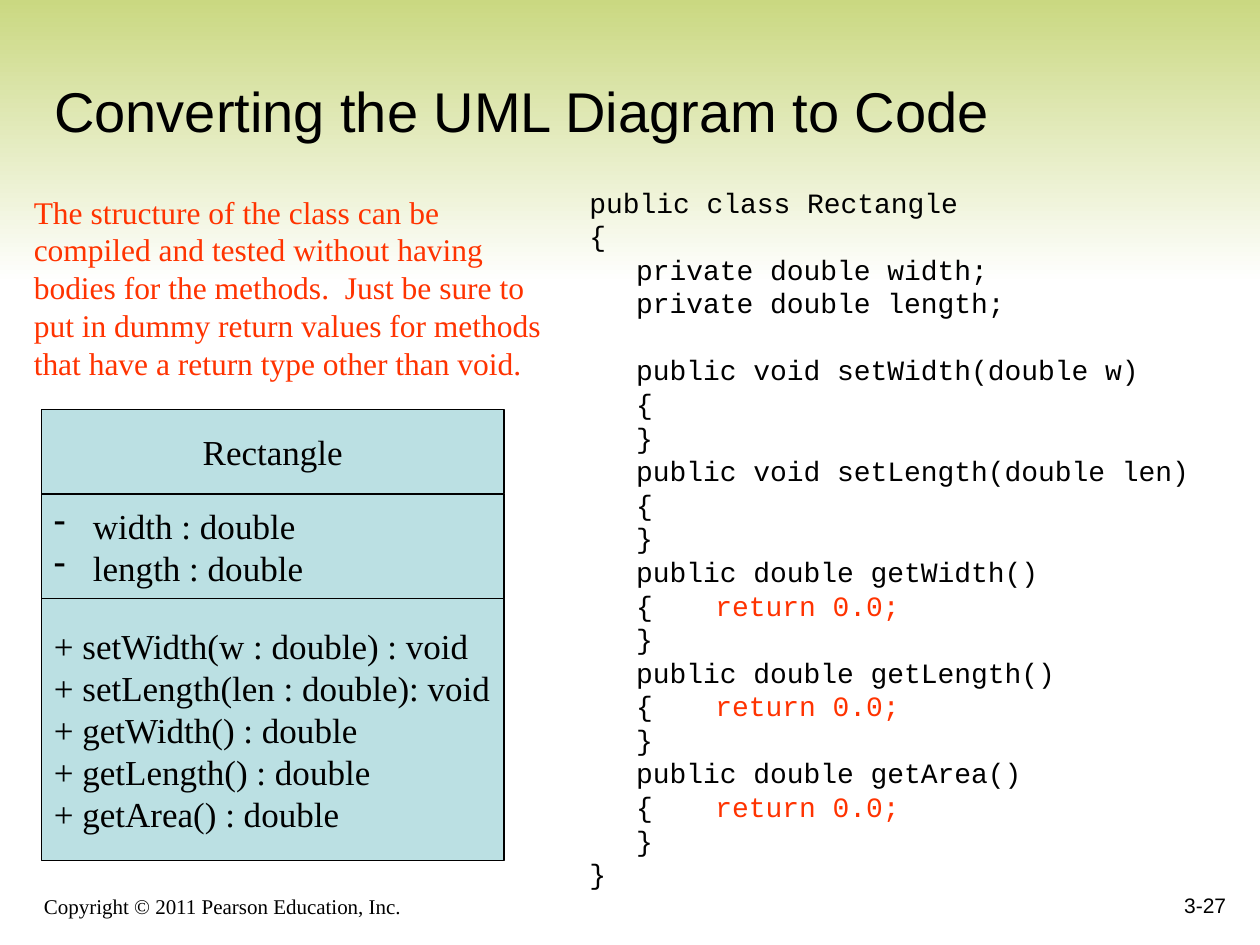
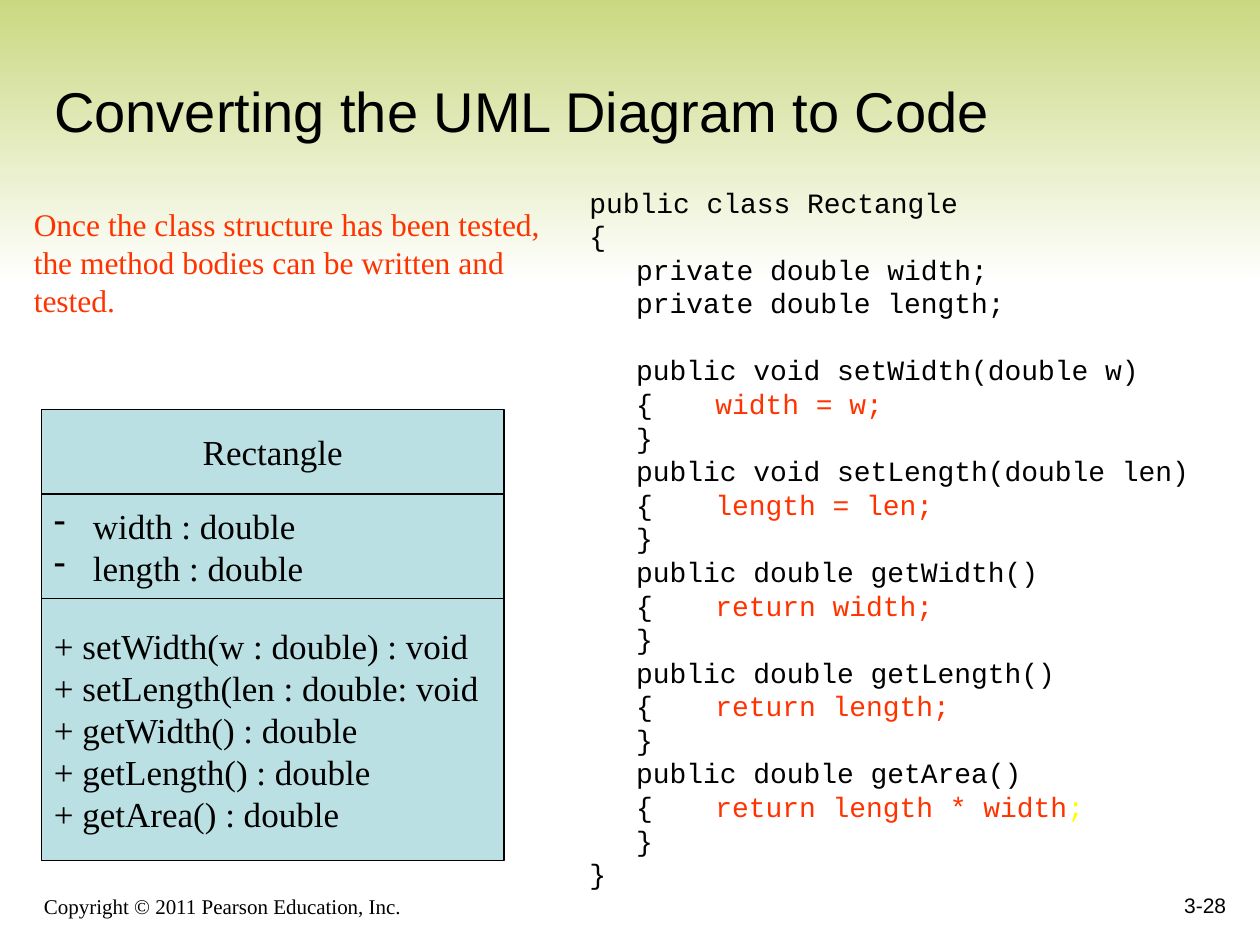
from lxml import etree
from pptx import Presentation
from pptx import util as u
from pptx.dml import color
from pptx.enum import shapes, text
from pptx.oxml import ns

BLACK, RED, YELLOW = "000000", "FF3300", "FFFF00"
BAND, WHITE, UML_FILL = "CAD881", "FFFFFF", "BBE0E3"
SERIF, SANS, MONO = "Times New Roman", "Arial", "Courier New"
LEFT, CENTER, RIGHT = text.PP_ALIGN.LEFT, text.PP_ALIGN.CENTER, text.PP_ALIGN.RIGHT
TOP, MIDDLE, BOTTOM = text.MSO_ANCHOR.TOP, text.MSO_ANCHOR.MIDDLE, text.MSO_ANCHOR.BOTTOM

TITLE = "Converting the UML Diagram to Code"
COPYRIGHT = "Copyright © 2011 Pearson Education, Inc."
CODE_TABS = [0.37, 1]
SIGNATURES = ["void setWidth(double w)", "void setLength(double len)",
              "double getWidth()", "double getLength()", "double getArea()"]
DUMMY = [("return 0.0;", RED)]
SLIDES = [
    dict(number="3-27", note_top=1.48, note_height=1.6, set_length="+ setLength(len : double): void",
         note="The structure of the class can be compiled and tested without having bodies "
              "for the methods.  Just be sure to put in dummy return values for methods "
              "that have a return type other than void.",
         bodies=[[], [], DUMMY, DUMMY, DUMMY]),
    dict(number="3-28", note_top=1.58, note_height=1, set_length="+ setLength(len : double: void",
         note="Once the class structure has been tested, the method bodies can be written and tested.",
         bodies=[[("width = w;", RED)], [("length = len;", RED)], [("return width;", RED)],
                 [("return length;", RED)], [("return length * width", RED), (";", YELLOW)]]),
]


def rgb(value):
    """Turn a hex string into a colour."""
    return color.RGBColor.from_string(value)


def sub(parent, tag, **attrs):
    """Append a DrawingML element to a parent."""
    return etree.SubElement(parent, ns.qn(tag), **attrs)


def code_lines(bodies):
    """Return the class listing as lines of coloured segments."""
    lines = ["public class Rectangle", "{", "\tprivate double width;", "\tprivate double length;", ""]
    for signature, body in zip(SIGNATURES, bodies):
        opening = [("\t{\t", BLACK), *body] if body else "\t{"
        lines += ["\tpublic " + signature, opening, "\t}"]
    return lines + ["}"]


class Deck:
    """Hold the shared style and the current slide."""

    def __init__(self):
        """Start an empty 10 by 7.5 inch deck."""
        self.prs = Presentation()
        self.prs.slide_width, self.prs.slide_height = u.Inches(10), u.Inches(7.5)
        self.s = None

    def slide(self, title, number):
        """Add a slide with band, title and footers."""
        self.s = self.prs.slides.add_slide(self.prs.slide_layouts[5])
        sp = self.s.shapes.title
        sp.left, sp.top, sp.width, sp.height = map(u.Inches, (0.33, 0.33, 9.42, 1.09))
        self.fill_text(sp.text_frame, [title], 32, SANS, anchor=MIDDLE)
        self.band(sp)
        self.textbox((0.25, 6.92, 6.08, 0.42), [COPYRIGHT], 12, SERIF, anchor=BOTTOM)
        self.textbox((7.75, 6.83, 2.08, 0.5), [number], 12, SANS, anchor=BOTTOM, align=RIGHT)

    def band(self, title):
        """Draw the gradient band behind the title."""
        sp = self.s.shapes.add_shape(shapes.MSO_SHAPE.RECTANGLE, 0, 0, u.Inches(10), u.Inches(2.25))
        sp.shadow.inherit = False
        sp.line.fill.background()
        sp.fill.gradient()
        sp.fill.gradient_angle = 270
        for stop, value, position in zip(sp.fill.gradient_stops, (BAND, WHITE), (0, 1)):
            stop.color.rgb = rgb(value)
            stop.position = position
        title.element.addprevious(sp.element)

    def fill_text(self, tf, lines, size, font, ink=BLACK, align=LEFT, anchor=TOP,
                  wrap=True, spacing=None, tabs=(), bullet=None):
        """Fill a text frame with lines of text or of coloured segments."""
        tf.word_wrap, tf.vertical_anchor, tf.auto_size = wrap, anchor, text.MSO_AUTO_SIZE.NONE
        for i, line in enumerate(lines):
            p = tf.paragraphs[0] if i == 0 else tf.add_paragraph()
            pPr = p._p.get_or_add_pPr()
            if bullet:
                pPr.set("marL", str(u.Inches(0.31)))
                pPr.set("indent", str(-u.Inches(0.31)))
                sub(pPr, "a:buChar", char=bullet)
            if tabs:
                tab_list = sub(pPr, "a:tabLst")
                for position in tabs:
                    sub(tab_list, "a:tab", pos=str(u.Inches(position)), algn="l")
            p.alignment = align
            p.font.size = u.Pt(size)
            if spacing:
                p.line_spacing = u.Pt(spacing * size)
            for content, shade in [(line, ink)] if isinstance(line, str) else line:
                if content:
                    r = p.add_run()
                    r.text = content
                    r.font.size, r.font.name = u.Pt(size), font
                    r.font.color.rgb = rgb(shade)

    def textbox(self, box, lines, size, font, **style):
        """Add a text box."""
        sp = self.s.shapes.add_textbox(*map(u.Inches, box))
        self.fill_text(sp.text_frame, lines, size, font, **style)

    def uml(self, left, top, width, compartments):
        """Stack the compartments of a class diagram in one group."""
        grp = self.s.shapes.add_group_shape()
        for height, lines, style in compartments:
            sp = grp.shapes.add_shape(shapes.MSO_SHAPE.RECTANGLE,
                                      *map(u.Inches, (left, top, width, height)))
            sp.shadow.inherit = False
            sp.fill.solid()
            sp.fill.fore_color.rgb = rgb(UML_FILL)
            sp.line.color.rgb = rgb(BLACK)
            sp.line.width = u.Pt(0.75)
            self.fill_text(sp.text_frame, lines, 20, SERIF, anchor=MIDDLE, wrap=False,
                           spacing=1.2, **style)
            top += height


def main():
    """Build both slides and save the deck."""
    deck = Deck()
    for page in SLIDES:
        deck.slide(TITLE, page["number"])
        methods = ["+ setWidth(w : double) : void", page["set_length"], "+ getWidth() : double",
                   "+ getLength() : double", "+ getArea() : double"]
        deck.uml(0.33, 3.25, 3.67, [
            (0.67, ["Rectangle"], dict(align=CENTER)),
            (0.83, ["width : double", "length : double"], dict(bullet="-")),
            (2.08, methods, {}),
        ])
        deck.textbox((0.17, page["note_top"], 4.36, page["note_height"]), [page["note"]],
                     18, SERIF, ink=RED, spacing=1.2)
        deck.textbox((4.58, 1.42, 5.25, 5.97), code_lines(page["bodies"]),
                     16, MONO, spacing=1.2, tabs=CODE_TABS)
    deck.prs.save("out.pptx")


if __name__ == "__main__":
    main()
